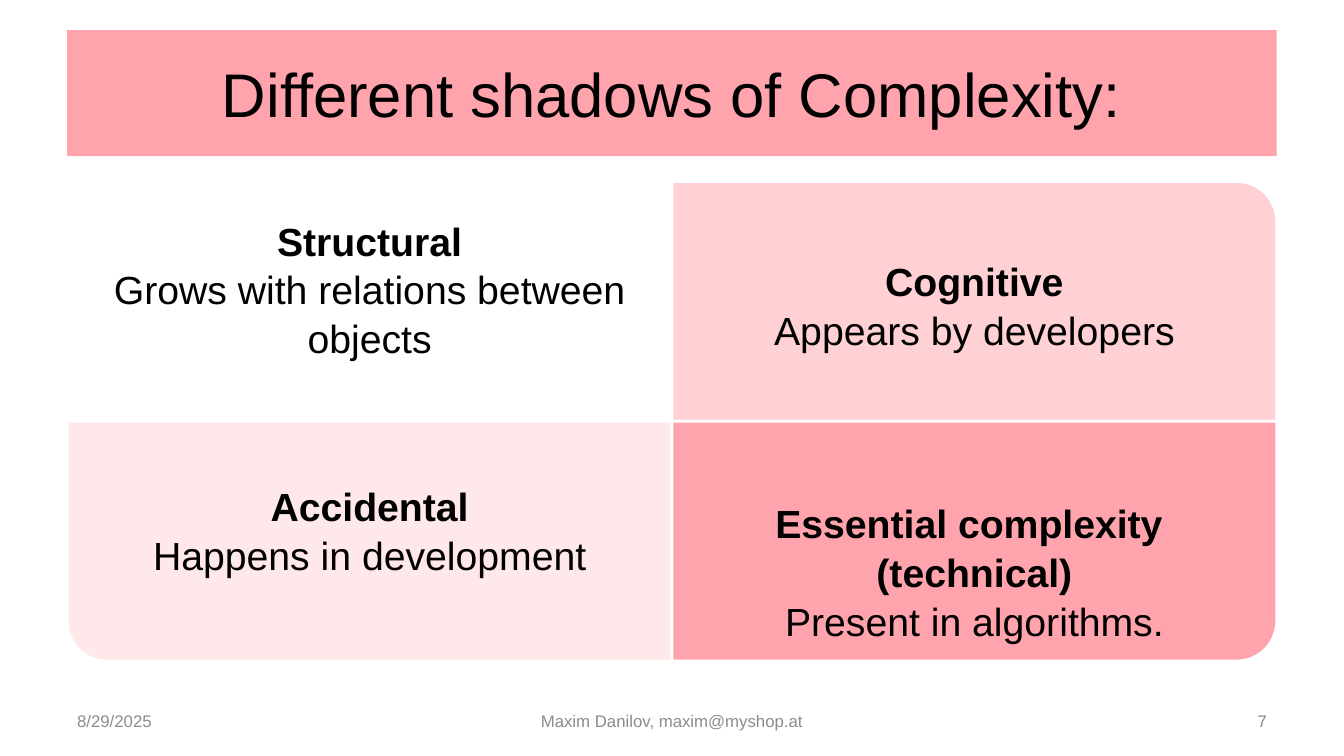
"""Build a slide with a title bar, a two by two matrix of complexity kinds and a footer."""
from math import cos, radians, sin

from lxml.etree import SubElement
from pptx import Presentation
from pptx.dml.color import RGBColor
from pptx.enum.shapes import MSO_SHAPE
from pptx.enum.text import MSO_ANCHOR, PP_ALIGN
from pptx.oxml.ns import qn
from pptx.util import Pt

TITLE = "Different shadows of Complexity:"
PINK, WHITE, BLACK, GREY = "FFA4AD", "FFFFFF", "000000", "8C8C8C"
TOP_LEFT, TOP_RIGHT, BOTTOM_RIGHT, BOTTOM_LEFT = range(4)

# column, row, rounded corner, colour, opacity, anchor, (top, bottom) inset, headings, description
KINDS = [
    (0, 0, TOP_LEFT, WHITE, 50, MSO_ANCHOR.BOTTOM, (0, 42.5),
     ["Structural"], "Grows with relations between objects"),
    (1, 0, TOP_RIGHT, PINK, 50, MSO_ANCHOR.MIDDLE, (46.5, 42.5),
     ["Cognitive"], "Appears by developers"),
    (0, 1, BOTTOM_LEFT, PINK, 25, MSO_ANCHOR.TOP, (42.5, 0),
     ["Accidental"], "Happens in development"),
    (1, 1, BOTTOM_RIGHT, PINK, 100, MSO_ANCHOR.MIDDLE, (42.5, 0),
     ["Essential complexity ", "(technical)"], "Present in algorithms."),
]
FOOTER = [
    (48, 224, PP_ALIGN.LEFT, "8/29/2025"),
    (328, 304, PP_ALIGN.CENTER, "Maxim Danilov, maxim@myshop.at"),
    (688, 224, PP_ALIGN.RIGHT, "7"),
]
LEFT, MATRIX_TOP, CELL_WIDTH, CELL_HEIGHT, RADIUS = 48, 129.6, 432, 171.3, 28.5
ARC_STEP = 5


def colour(value):
    return RGBColor.from_string(value)


def write(frame, lines, size, text_colour, align, anchor, spacing=None):
    frame.word_wrap = True
    frame.vertical_anchor = anchor
    for index, (text, bold) in enumerate(lines):
        paragraph = frame.add_paragraph() if index else frame.paragraphs[0]
        paragraph.alignment = align
        paragraph.line_spacing = spacing
        run = paragraph.add_run()
        run.text = text
        run.font.name = "Arial"
        run.font.size = Pt(size)
        run.font.bold = bold
        run.font.color.rgb = colour(text_colour)


def cell_outline(left, top, rounded):
    right, bottom = left + CELL_WIDTH, top + CELL_HEIGHT
    corners = [(left, top), (right, top), (right, bottom), (left, bottom)]
    x, y = corners[rounded]
    centre_x = x + (RADIUS if x == left else -RADIUS)
    centre_y = y + (RADIUS if y == top else -RADIUS)
    start = 180 + 90 * rounded
    angles = [radians(start + step) for step in range(0, 91, ARC_STEP)]
    arc = [(centre_x + RADIUS * cos(a), centre_y + RADIUS * sin(a)) for a in angles]
    return corners[:rounded] + arc + corners[rounded + 1:]


def add_kind(shapes, column, row, rounded, fill, opacity, anchor, insets, headings, description):
    points = [(Pt(x), Pt(y)) for x, y in cell_outline(
        LEFT + column * CELL_WIDTH, MATRIX_TOP + row * CELL_HEIGHT, rounded)]
    builder = shapes.build_freeform(*points[0])
    builder.add_line_segments(points[1:], close=True)
    cell = builder.convert_to_shape()
    cell.shadow.inherit = False
    cell.fill.solid()
    cell.fill.fore_color.rgb = colour(fill)
    if opacity < 100:
        tint = cell.fill._xPr.find(qn("a:solidFill"))[0]
        SubElement(tint, qn("a:alpha")).set("val", str(opacity * 1000))
    cell.line.color.rgb = colour(WHITE)
    cell.line.width = Pt(2)
    frame = cell.text_frame
    frame.margin_left = frame.margin_right = 0
    frame.margin_top, frame.margin_bottom = map(Pt, insets)
    lines = [(heading, True) for heading in headings] + [(description, False)]
    write(frame, lines, 28, BLACK, PP_ALIGN.CENTER, anchor, 1.04)


def main():
    deck = Presentation()
    deck.slide_width, deck.slide_height = Pt(960), Pt(540)
    shapes = deck.slides.add_slide(deck.slide_layouts[6]).shapes

    title = shapes.add_shape(MSO_SHAPE.RECTANGLE, Pt(LEFT), Pt(21.6), Pt(2 * CELL_WIDTH), Pt(90))
    title.shadow.inherit = False
    title.fill.solid()
    title.fill.fore_color.rgb = colour(PINK)
    title.line.fill.background()
    write(title.text_frame, [(TITLE, False)], 44, BLACK, PP_ALIGN.CENTER, MSO_ANCHOR.MIDDLE)

    for left, width, align, text in FOOTER:
        note = shapes.add_textbox(Pt(left), Pt(500.5), Pt(width), Pt(28.8))
        write(note.text_frame, [(text, False)], 12, GREY, align, MSO_ANCHOR.MIDDLE)

    for kind in KINDS:
        add_kind(shapes, *kind)

    deck.save("out.pptx")


if __name__ == "__main__":
    main()
